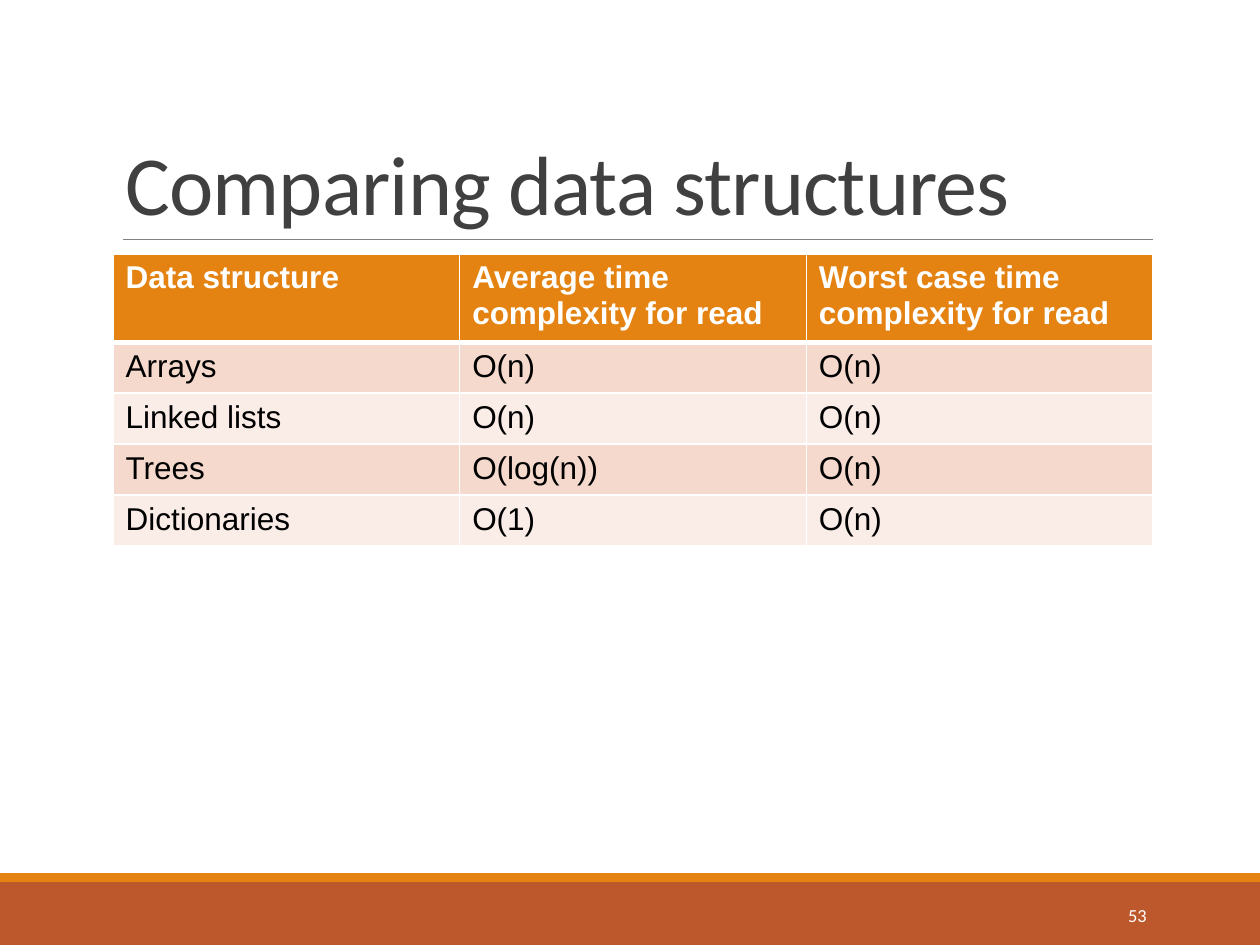
from dataclasses import dataclass
from pptx import Presentation
from pptx.dml.color import RGBColor as Rgb
from pptx.enum.shapes import MSO_CONNECTOR as Link, MSO_SHAPE as Form
from pptx.enum.text import MSO_ANCHOR as Anchor, PP_ALIGN as Align
from pptx.oxml.ns import qn
from pptx.util import Pt
from lxml.etree import SubElement as Sub

PX = 914400 / 126


@dataclass(frozen=True)
class Theme:
    white: str = "FFFFFF"
    black: str = "000000"
    title: str = "404040"
    rule: str = "808080"
    rust: str = "BD582C"
    orange: str = "E48312"
    bands: tuple = ("F5D9CC", "FAEDE7")
    head: str = "Calibri"
    body: str = "Arial"
    big: float = 48
    mid: float = 18
    small: float = 10.5


LOOK = Theme()
ROWS = [
    ("Data structure", "Average time complexity for read", "Worst case time complexity for read"),
    ("Arrays", "O(n)", "O(n)"),
    ("Linked lists", "O(n)", "O(n)"),
    ("Trees", "O(log(n))", "O(n)"),
    ("Dictionaries", "O(1)", "O(n)"),
]


def emu(*sizes):
    return [round(size * PX) for size in sizes]


def paint(fill, color):
    fill.solid()
    fill.fore_color.rgb = Rgb.from_string(color)


def style(frame, face, size, color, bold=False):
    font = frame.paragraphs[0].runs[0].font
    font.name, font.size, font.bold = face, Pt(size), bold
    font.color.rgb = Rgb.from_string(color)


def label(slide, box, text, size, color, anchor):
    frame = slide.shapes.add_textbox(*emu(*box)).text_frame
    frame.word_wrap = True
    frame.vertical_anchor = anchor
    frame.text = text
    style(frame, LOOK.head, size, color)
    return frame.paragraphs[0]


def band(slide, box, color):
    bar = slide.shapes.add_shape(Form.RECTANGLE, *emu(*box))
    bar.shadow.inherit = False
    paint(bar.fill, color)
    bar.line.fill.background()


def header(slide, box):
    x, y, w, h = box
    para = label(slide, box, "Comparing data structures", LOOK.big, LOOK.title, Anchor.BOTTOM)
    para.line_spacing = 0.85
    para.runs[0].font._element.set("spc", "-50")
    rule = slide.shapes.add_connector(Link.STRAIGHT, *emu(x + 10, y + h, x + w, y + h))
    rule.line.color.rgb = Rgb.from_string(LOOK.rule)
    rule.line.width = Pt(0.5)
    Sub(rule._element.spPr, qn("a:effectLst"))


def border(cell, row):
    props = cell._tc.get_or_add_tcPr()
    for side in "LRTB":
        thick = (row, side) in ((0, "B"), (1, "T"))
        line = Sub(props, qn("a:ln" + side), w=str(Pt(3 if thick else 1)))
        Sub(Sub(line, qn("a:solidFill")), qn("a:srgbClr"), val=LOOK.white)


def grid(slide, box, top):
    x, y, w, h = box
    table = slide.shapes.add_table(len(ROWS), len(ROWS[0]), *emu(*box)).table
    for col in table.columns:
        col.width = emu(w / len(ROWS[0]))[0]
    for row, texts in enumerate(ROWS):
        high = top if row == 0 else (h - top) / (len(ROWS) - 1)
        table.rows[row].height = emu(high)[0]
        for col, text in enumerate(texts):
            cell = table.cell(row, col)
            cell.text = text
            ink = LOOK.black if row else LOOK.white
            style(cell.text_frame, LOOK.body, LOOK.mid, ink, row == 0)
            border(cell, row)
            paint(cell.fill, LOOK.bands[(row - 1) % 2] if row else LOOK.orange)


def footer(slide, box):
    x, y, w, h = box
    band(slide, (x, y + 9, w, h - 9), LOOK.rust)
    band(slide, (x, y, w, 9), LOOK.orange)
    spot = (x + 1023, y + 17, 136, 50)
    para = label(slide, spot, "53", LOOK.small, LOOK.white, Anchor.MIDDLE)
    para.alignment = Align.RIGHT


deck = Presentation()
deck.slide_width, deck.slide_height = emu(1260, 945)
page = deck.slides.add_slide(deck.slide_layouts[6])
footer(page, (0, 873, 1260, 72))
header(page, (113, 39, 1040, 200))
grid(page, (113, 254, 1040, 288), 84)
deck.save("out.pptx")
